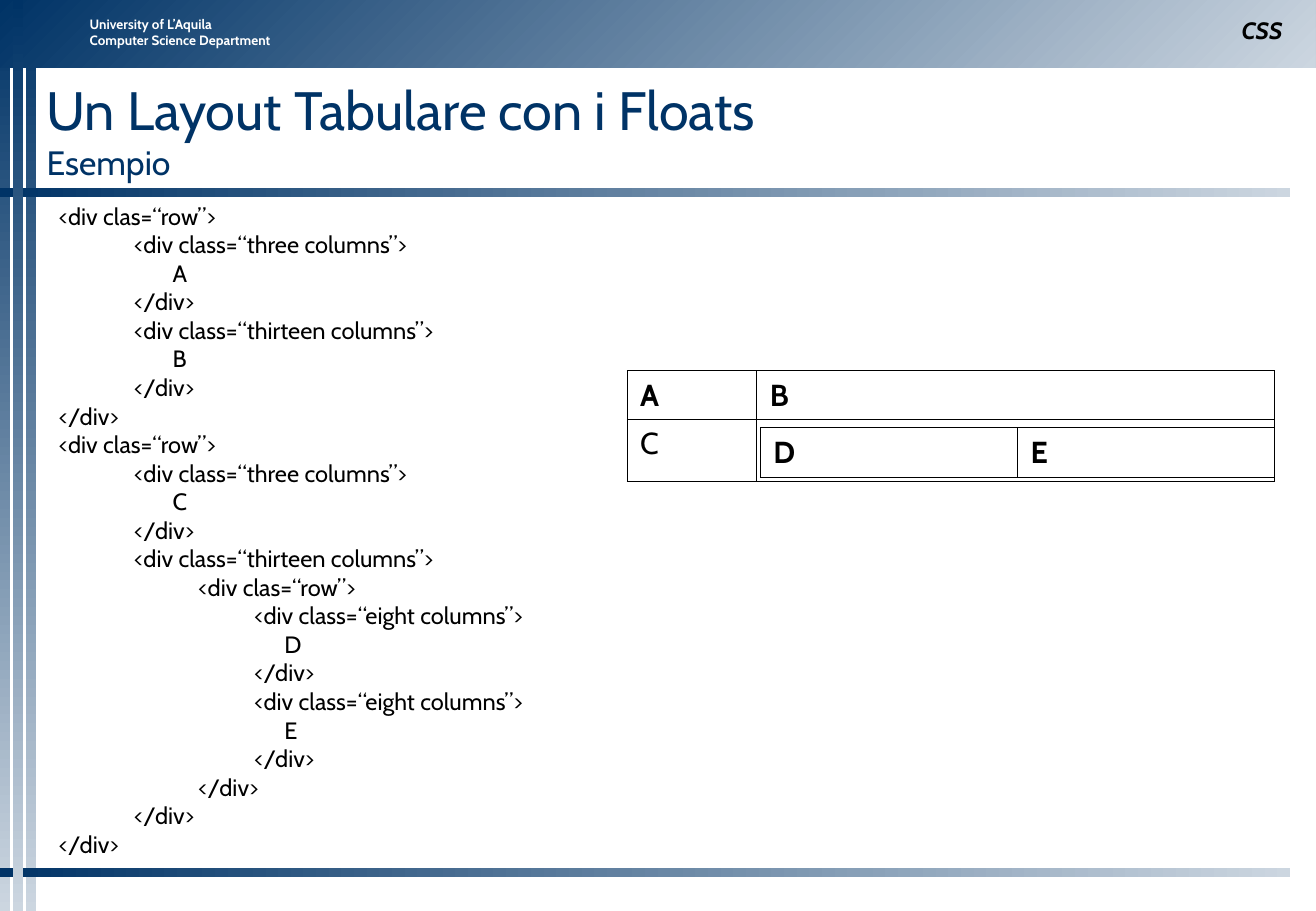
from lxml import etree
from pptx import Presentation
from pptx import util as u
from pptx.dml.color import RGBColor
from pptx.enum import shapes, text
from pptx.oxml.ns import qn

# Content
SCHOOL = ["University of L’Aquila", "Computer Science Department"]
TITLE = ["Un Layout Tabulare con i Floats", "Esempio"]
TOPIC = "CSS"
ROWS = [
    [("three", "A"), ("thirteen", "B")],
    [("three", "C"), ("thirteen", [[("eight", "D"), ("eight", "E")]])],
]
OUTER = [["A", "B"], ["C", ""]]
INNER = [["D", "E"]]

# Look
NAVY = RGBColor(0x00, 0x33, 0x66)
MIST = RGBColor(0xCC, 0xD6, 0xE0)
BLACK = RGBColor(0, 0, 0)
WHITE = RGBColor(255, 255, 255)
FONT = "Cabin"
WIDE, HIGH = 780.25, 540
THICK, RULE = 6, 764.8
INDENTS = [(23, 23), (67.7, 23), (100.8, 18), (133.9, 18)]  # left, hanging
MIDDLE = text.MSO_ANCHOR.MIDDLE
BOTTOM = text.MSO_ANCHOR.BOTTOM

# Bars: left, top, width, height, gradient angle (clockwise)
SIDES = [(x, 0, THICK, HIGH, 90) for x in (0, 15.4, 7.7)]
HEADER = (0, 0, 780, 40.3, 45)
RULES = [(0, y, RULE, THICK - 0.5, 0) for y in (111.4, 514.3)]


def assign(obj, **vals):
    for key, val in vals.items():
        setattr(obj, key, val)


def add_bar(slide, x, y, w, h, turn):
    bar = slide.shapes.add_shape(
        shapes.MSO_SHAPE.RECTANGLE, u.Pt(x), u.Pt(y), u.Pt(w), u.Pt(h))
    bar.shadow.inherit = False
    bar.line.fill.background()
    bar.fill.gradient()
    bar.fill.gradient_angle = -turn % 360
    for stop, color in zip(bar.fill.gradient_stops, (NAVY, MIST)):
        stop.color.rgb = color


def add_box(slide, x, y, w, h, pads=(7.2, 3.6), anchor=text.MSO_ANCHOR.TOP):
    box = slide.shapes.add_textbox(u.Pt(x), u.Pt(y), u.Pt(w), u.Pt(h))
    side, edge = (u.Pt(pad) for pad in pads)
    assign(box.text_frame, word_wrap=True, vertical_anchor=anchor,
           margin_left=side, margin_right=side,
           margin_top=edge, margin_bottom=edge)
    return box.text_frame


def add_run(para, words, size, color=BLACK, **style):
    run = para.add_run()
    run.text = words
    assign(run.font, name=FONT, size=u.Pt(size), **style)
    run.font.color.rgb = color


def add_lines(para, lines, sizes, color, **style):
    for i, (line, size) in enumerate(zip(lines, sizes)):
        if i:
            para.add_line_break()
        add_run(para, line, size, color, **style)


def list_code(rows, level=0):
    """Yield (level, line) for rows of nested divs."""
    for row in rows:
        yield level, "<div clas=“row”>"
        for span, inside in row:
            yield level + 1, f"<div class=“{span} columns”>"
            if isinstance(inside, list):
                yield from list_code(inside, level + 2)
            else:
                yield level + 1, "\t" + inside
            yield level + 1, "</div>"
        yield level, "</div>"


def add_edges(cell):
    props = cell._tc.get_or_add_tcPr()
    for i, tag in enumerate(("a:lnL", "a:lnR", "a:lnT", "a:lnB")):
        line = etree.Element(qn(tag), w=str(u.Pt(0.45)))
        fill = etree.SubElement(line, qn("a:solidFill"))
        etree.SubElement(fill, qn("a:srgbClr"), val=str(BLACK))
        props.insert(i, line)


def add_grid(slide, x, y, cols, highs, data):
    frame = slide.shapes.add_table(
        len(highs), len(cols), u.Pt(x), u.Pt(y),
        u.Pt(sum(cols)), u.Pt(sum(highs)))
    grid = frame.table
    assign(grid, first_row=False, horz_banding=False)
    for col, w in zip(grid.columns, cols):
        col.width = u.Pt(w)
    for row, h, words in zip(grid.rows, highs, data):
        row.height = u.Pt(h)
        for cell, word in zip(row.cells, words):
            assign(cell, margin_left=u.Pt(7.8), margin_right=u.Pt(7.8),
                   margin_top=u.Pt(3.6), margin_bottom=u.Pt(3.6))
            cell.fill.solid()
            cell.fill.fore_color.rgb = WHITE
            add_edges(cell)
            if word:
                add_run(cell.text_frame.paragraphs[0], word, 18,
                        bold=word != "C")


def main():
    deck = Presentation()
    assign(deck, slide_width=u.Pt(WIDE), slide_height=u.Pt(HIGH))
    slide = deck.slides.add_slide(deck.slide_layouts[6])

    # Frame of bars, the middle side bar on top
    for bar in SIDES[:2] + [HEADER] + RULES + SIDES[2:]:
        add_bar(slide, *bar)

    # Header texts
    para = add_box(slide, 46.1, 5.8, 144.7, 26.6).paragraphs[0]
    para.space_before = u.Pt(5)
    add_lines(para, SCHOOL, (8, 8), WHITE, bold=True)
    para = add_box(slide, 390.2, 5.8, 377.3, 23.8, anchor=BOTTOM).paragraphs[0]
    para.alignment = text.PP_ALIGN.RIGHT
    add_run(para, TOPIC, 14, bold=True, italic=True)

    # Title
    para = add_box(slide, 27.6, 42, 739.4, 69.1, (0, 0), MIDDLE).paragraphs[0]
    add_lines(para, TITLE, (32, 20), NAVY)

    # Code listing
    body = add_box(slide, 27.6, 122.7, 368.6, 390.2, (7.2, 0))
    for i, (level, line) in enumerate(list_code(ROWS)):
        para = body.add_paragraph() if i else body.paragraphs[0]
        assign(para, level=level, line_spacing=0.8, space_before=u.Pt(3.5))
        left, hang = INDENTS[level]
        props = para._p.get_or_add_pPr()
        props.set("marL", str(u.Pt(left)))
        props.set("indent", str(-u.Pt(hang)))
        add_run(para, line, 14)

    # Resulting layout, one table laid over the last cell of the other
    add_grid(slide, 371.8, 219.7, (76.8, 307.2), (28.9, 36.9), OUTER)
    add_grid(slide, 450.8, 253.5, (152.4, 152.4), (29.2,), INNER)

    deck.save("out.pptx")


if __name__ == "__main__":
    main()
